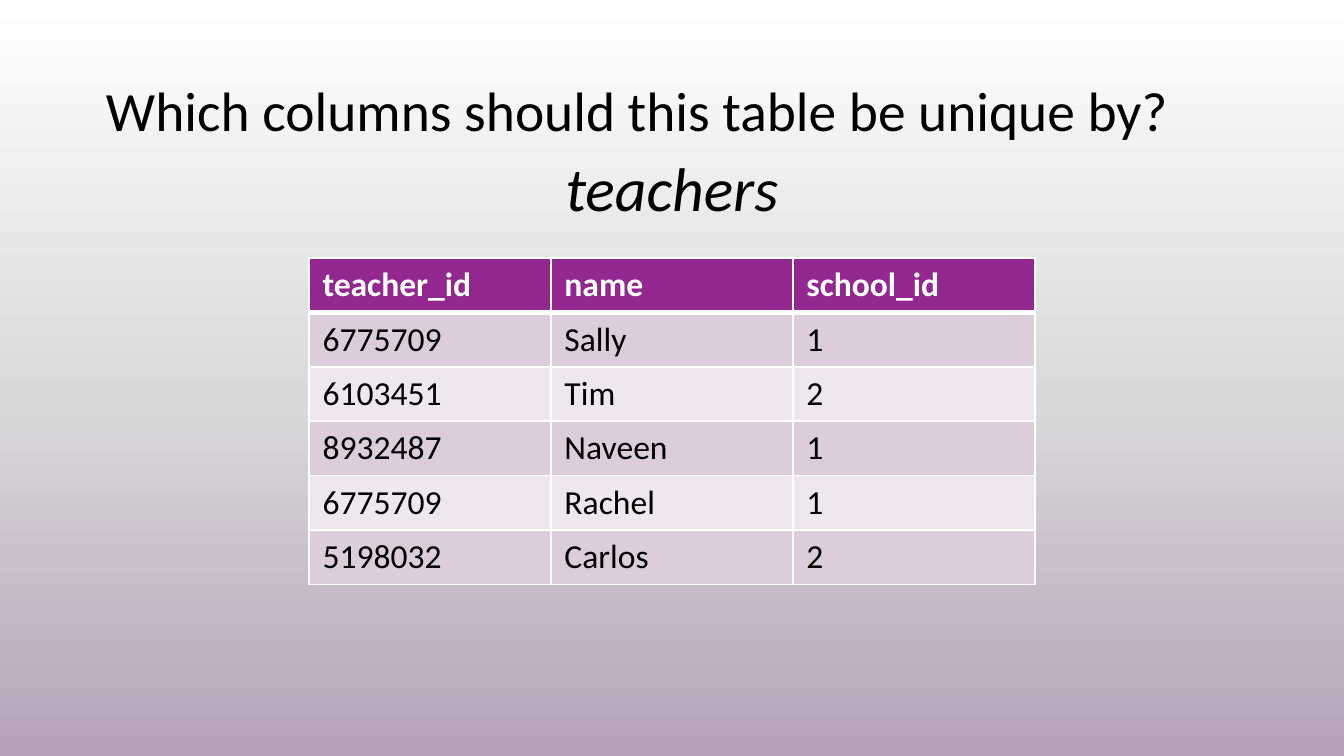
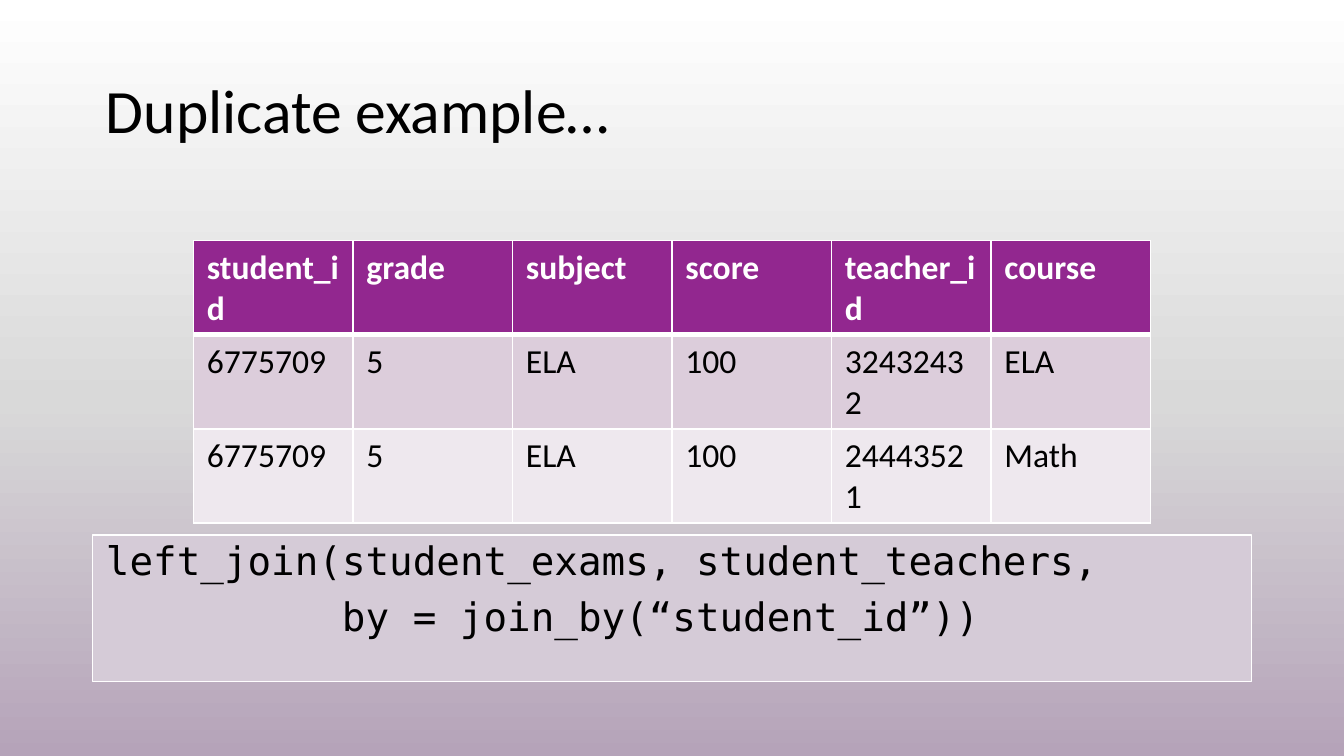
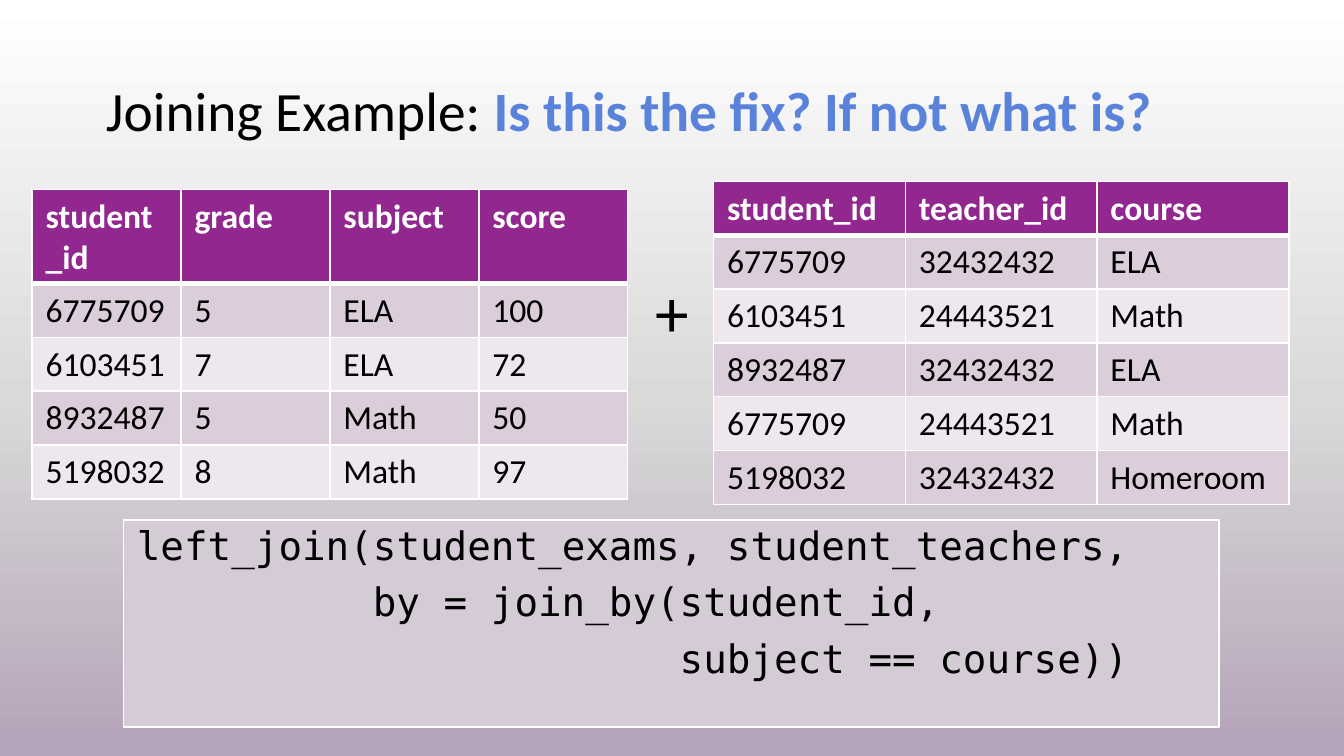
import copy

import pptx
import pptx.dml.color
import pptx.enum.shapes
import pptx.enum.text
import pptx.oxml
import pptx.oxml.ns
import pptx.util
from pptx.dml.color import RGBColor
from pptx.enum.shapes import MSO_SHAPE
from pptx.enum.text import MSO_ANCHOR, MSO_AUTO_SIZE, PP_ALIGN
from pptx.util import Inches, Pt

BLACK = RGBColor(0x00, 0x00, 0x00)
WHITE = RGBColor(0xFF, 0xFF, 0xFF)
GRAY = RGBColor(0xD9, 0xD9, 0xD9)
MAUVE = RGBColor(0xB5, 0xA3, 0xB9)
PURPLE = RGBColor(0x92, 0x27, 0x8F)
BAND_DARK = RGBColor(0xDC, 0xCD, 0xDB)
BAND_LIGHT = RGBColor(0xEE, 0xE8, 0xEE)
CODE_FILL = RGBColor(0xD5, 0xCB, 0xD7)
BLUE = RGBColor(0x59, 0x82, 0xDB)

BODY_FONT = "Calibri"
CODE_FONT = "DejaVu Sans Mono"
CODE_SIZE = 21
CODE_CHARACTER = Pt(CODE_SIZE * 0.602)
TITLE_BOX = (0.69, 0.3, 8.62, 1.09)


def add_text(slide, box, lines, size, anchor=MSO_ANCHOR.MIDDLE, align=PP_ALIGN.LEFT,
             spacing=0.9, code=False):
    position = [Inches(length) for length in box]
    if code:
        shape = slide.shapes.add_shape(MSO_SHAPE.RECTANGLE, *position)
        shape.shadow.inherit = False
        shape.fill.solid()
        shape.fill.fore_color.rgb = CODE_FILL
        shape.line.color.rgb = WHITE
        shape.line.width = Pt(0.75)
    else:
        shape = slide.shapes.add_textbox(*position)
    frame = shape.text_frame
    frame.word_wrap = True
    frame.vertical_anchor = anchor
    frame.text = "\n".join(text for indent, text in lines)
    for paragraph, (indent, text) in zip(frame.paragraphs, lines):
        paragraph.alignment = align
        paragraph.line_spacing = spacing
        paragraph.font.name = CODE_FONT if code else BODY_FONT
        paragraph.font.size = Pt(size)
        paragraph.font.color.rgb = BLACK
        if code:
            paragraph.space_before = Pt(7.5)
            paragraph._p.get_or_add_pPr().set("marL", str(indent * CODE_CHARACTER))
    return shape


def add_data_table(slide, box, rows):
    position = [Inches(length) for length in box]
    table = slide.shapes.add_table(len(rows), len(rows[0]), *position).table
    table.horz_banding = False
    for row_index, values in enumerate(rows):
        header = row_index == 0
        for column_index, value in enumerate(values):
            cell = table.cell(row_index, column_index)
            cell.text = value
            cell.margin_top = cell.margin_bottom = Inches(0.05)
            paragraph = cell.text_frame.paragraphs[0]
            paragraph.font.name = BODY_FONT
            paragraph.font.size = Pt(18)
            paragraph.font.bold = header
            paragraph.font.color.rgb = WHITE if header else BLACK
            properties = cell._tc.get_or_add_tcPr()
            for side in "LRTB":
                thick = (row_index, side) in ((0, "B"), (1, "T"))
                properties.append(pptx.oxml.parse_xml(
                    f'<a:ln{side} {pptx.oxml.ns.nsdecls("a")} w="{Pt(3 if thick else 1)}">'
                    f'<a:solidFill><a:srgbClr val="{WHITE}"/></a:solidFill></a:ln{side}>'))
            cell.fill.solid()
            band = BAND_DARK if row_index % 2 else BAND_LIGHT
            cell.fill.fore_color.rgb = PURPLE if header else band


presentation = pptx.Presentation()
presentation.slide_width = Inches(10)
presentation.slide_height = Inches(10) * 9 // 16
blank_layout = presentation.slide_layouts[6]

master = presentation.slide_master
background = master.background.fill
background.gradient()
background.gradient_angle = 270
stop_list = master.element.find(".//" + pptx.oxml.ns.qn("a:gsLst"))
stop_list.append(copy.deepcopy(stop_list[-1]))
for stop, position, color in zip(background.gradient_stops, (0, 0.53, 1), (WHITE, GRAY, MAUVE)):
    stop.position = position
    stop.color.rgb = color

unique_slide = presentation.slides.add_slide(blank_layout)
add_text(unique_slide, TITLE_BOX, [(0, "Which columns should this table be unique by?")], 29.7)
add_data_table(unique_slide, (2.3, 1.92, 5.4, 2.43), [
    ("teacher_id", "name", "school_id"),
    ("6775709", "Sally", "1"),
    ("6103451", "Tim", "2"),
    ("8932487", "Naveen", "1"),
    ("6775709", "Rachel", "1"),
    ("5198032", "Carlos", "2"),
])
table_name = add_text(unique_slide, (0.5, 0.92, 9, 0.94), [(0, "teachers")], 33,
                      align=PP_ALIGN.CENTER, spacing=1.0)
table_name.text_frame.paragraphs[0].font.italic = True

duplicate_slide = presentation.slides.add_slide(blank_layout)
add_text(duplicate_slide, TITLE_BOX, [(0, "Duplicate example…")], 33)
add_text(duplicate_slide, (0.69, 3.98, 8.62, 1.09), [
    (0, "left_join(student_exams, student_teachers,"),
    (10, "by = join_by(“student_id”))"),
], CODE_SIZE, anchor=MSO_ANCHOR.TOP, code=True)
add_data_table(duplicate_slide, (1.44, 1.79, 7.12, 1.75), [
    ("student_id", "grade", "subject", "score", "teacher_id", "course"),
    ("6775709", "5", "ELA", "100", "32432432", "ELA"),
    ("6775709", "5", "ELA", "100", "24443521", "Math"),
])

joining_slide = presentation.slides.add_slide(blank_layout)
title = add_text(joining_slide, TITLE_BOX, [(0, "Joining Example: ")], 29.7)
question = title.text_frame.paragraphs[0].add_run()
question.text = "Is this the fix? If not what is?"
question.font.bold = True
question.font.color.rgb = BLUE
add_data_table(joining_slide, (0.24, 1.41, 4.43, 1.82), [
    ("student_id", "grade", "subject", "score"),
    ("6775709", "5", "ELA", "100"),
    ("6103451", "7", "ELA", "72"),
    ("8932487", "5", "Math", "50"),
    ("5198032", "8", "Math", "97"),
])
plus = add_text(joining_slide, (4.78, 1.96, 0.44, 0.71), [(0, "+")], 36,
                anchor=MSO_ANCHOR.TOP, align=PP_ALIGN.CENTER, spacing=1.0)
plus.text_frame.word_wrap = False
plus.text_frame.auto_size = MSO_AUTO_SIZE.SHAPE_TO_FIT_TEXT
add_text(joining_slide, (0.92, 3.87, 8.15, 1.54), [
    (0, "left_join(student_exams, student_teachers,"),
    (10, "by = join_by(student_id,"),
    (23, "subject == course))"),
], CODE_SIZE, anchor=MSO_ANCHOR.TOP, code=True)
add_data_table(joining_slide, (5.31, 1.35, 4.28, 1.95), [
    ("student_id", "teacher_id", "course"),
    ("6775709", "32432432", "ELA"),
    ("6103451", "24443521", "Math"),
    ("8932487", "32432432", "ELA"),
    ("6775709", "24443521", "Math"),
    ("5198032", "32432432", "Homeroom"),
])

presentation.save("out.pptx")
